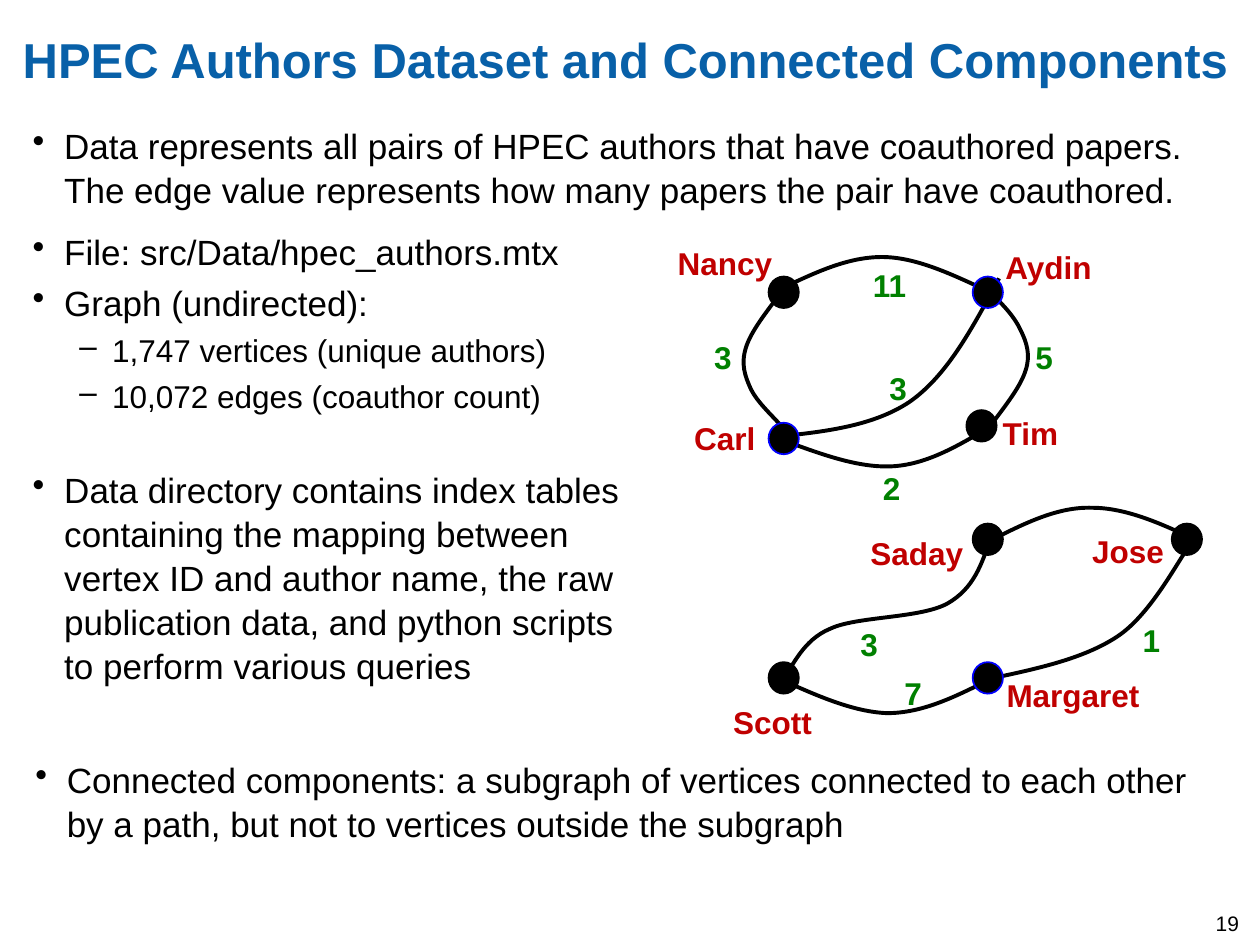
from dataclasses import dataclass

from lxml import etree
from pptx import Presentation
from pptx.dml.color import RGBColor
from pptx.enum.shapes import MSO_SHAPE
from pptx.enum.text import MSO_ANCHOR
from pptx.oxml.ns import qn
from pptx.util import Inches, Pt

ELLIPSE = MSO_SHAPE.OVAL
TOP, MIDDLE = MSO_ANCHOR.TOP, MSO_ANCHOR.MIDDLE


@dataclass(frozen=True)
class Theme:
    font: str = "Arial"
    title: str = "0860A8"
    ink: str = "000000"
    name: str = "C00000"
    count: str = "008000"
    ring: str = "0000FF"
    title_size: int = 28
    body_size: int = 20
    sub_size: int = 18
    page_size: int = 12
    edge_width: float = 2.25
    line_spacing: float = 1.05
    title_spacing: float = 0.85


@dataclass(frozen=True)
class Box:
    """A region on a grid of 10 columns by 7.5 rows, each one inch."""
    left: float
    top: float
    width: float
    height: float

    def inner(self, left, top, width, height):
        return Box(self.left + left, self.top + top, width, height)

    def emu(self):
        return [Inches(v) for v in (self.left, self.top, self.width, self.height)]


THEME = Theme()
MARKS = ("•", "–")
INDENTS = ((0.25, -0.25), (0.63, -0.26))
SIZES = (THEME.body_size, THEME.sub_size)
NODE_WIDTH, NODE_HEIGHT = 0.24, 0.25
LABEL_HEIGHT = 0.4

INTRO = [(0, "Data represents all pairs of HPEC authors that have coauthored papers. "
             "The edge value represents how many papers the pair have coauthored.", 0)]
# Each point: level, text, space before in points
DETAILS = [
    (0, "File: src/Data/hpec_authors.mtx", 0),
    (0, "Graph (undirected):", 4),
    (1, "1,747 vertices (unique authors)", 3.6),
    (1, "10,072 edges (coauthor count)", 3.6),
    (0, "Data directory contains index tables containing the mapping between vertex ID "
        "and author name, the raw publication data, and python scripts to perform "
        "various queries", 29),
]
CLOSING = [(0, "Connected components: a subgraph of vertices connected to each other by a "
               "path, but not to vertices outside the subgraph", 0)]

# Each author: name, node centre, label corner, label width, ring colour
AUTHORS = [
    ("Nancy", (1.22, 0.52), (0.28, 0.09), 0.96, THEME.ink),
    ("Aydin", (2.84, 0.52), (2.88, 0.12), 0.89, THEME.ring),
    ("Carl", (1.22, 1.68), (0.41, 1.48), 0.69, THEME.ring),
    ("Tim", (2.79, 1.58), (2.86, 1.44), 0.65, THEME.ink),
    ("Saday", (2.84, 2.48), (1.81, 2.39), 0.95, THEME.ink),
    ("Jose", (4.42, 2.48), (3.57, 2.37), 0.78, THEME.ink),
    ("Scott", (1.22, 3.58), (0.72, 3.73), 0.83, THEME.ink),
    ("Margaret", (2.84, 3.58), (2.89, 3.52), 1.27, THEME.ring),
]
# Each edge: paper count, label corner, start point followed by Bézier triplets
EDGES = [
    ("3", (0.57, 0.83), [(1.2, 1.58), (1.11, 1.48), (1.01, 1.39), (0.96, 1.29),
                         (0.91, 1.18), (0.88, 1.09), (0.92, 0.96),
                         (0.96, 0.83), (1.08, 0.68), (1.2, 0.52)]),
    ("11", (1.83, 0.26), [(1.2, 0.49), (1.46, 0.37), (1.72, 0.24), (2, 0.24),
                          (2.27, 0.24), (2.56, 0.38), (2.84, 0.51)]),
    ("5", (3.12, 0.83), [(2.86, 0.52), (2.96, 0.62), (3.05, 0.71), (3.1, 0.82),
                         (3.15, 0.92), (3.18, 1.02), (3.14, 1.14),
                         (3.1, 1.27), (2.98, 1.42), (2.86, 1.58)]),
    ("2", (1.91, 1.87), [(2.87, 1.58), (2.62, 1.73), (2.37, 1.88), (2.1, 1.9),
                         (1.83, 1.92), (1.53, 1.81), (1.23, 1.7)]),
    ("3", (1.96, 1.08), [(1.13, 1.67), (1.52, 1.63), (1.92, 1.59), (2.22, 1.39),
                         (2.52, 1.18), (2.72, 0.8), (2.93, 0.41)]),
    ("3", (1.73, 3.11), [(1.23, 3.56), (1.29, 3.5), (1.37, 3.28), (1.59, 3.19),
                         (1.8, 3.09), (2.3, 3.11), (2.52, 2.99),
                         (2.73, 2.87), (2.79, 2.68), (2.86, 2.48)]),
    ("", None, [(2.88, 2.48), (3.14, 2.35), (3.4, 2.22), (3.67, 2.23),
                (3.94, 2.23), (4.23, 2.36), (4.52, 2.5)]),
    ("1", (3.97, 3.08), [(4.46, 2.5), (4.36, 2.63), (4.14, 3.07), (3.87, 3.25),
                         (3.6, 3.43), (3.22, 3.51), (2.84, 3.59)]),
    ("7", (2.08, 3.5), [(2.84, 3.6), (2.58, 3.73), (2.32, 3.86), (2.04, 3.86),
                        (1.77, 3.85), (1.48, 3.72), (1.19, 3.59)]),
]


def add_frame(page, box, inset=(0, 0), anchor=TOP, wrap=True):
    frame = page.shapes.add_textbox(*box.emu()).text_frame
    frame.word_wrap = wrap
    frame.vertical_anchor = anchor
    frame.margin_left = frame.margin_right = Inches(inset[0])
    frame.margin_top = frame.margin_bottom = Inches(inset[1])
    return frame


def add_span(para, text, size, color, bold=False):
    span = para.add_run()
    span.text = text
    span.font.name = THEME.font
    span.font.size = Pt(size)
    span.font.bold = bold
    span.font.color.rgb = RGBColor.from_string(color)


def add_title(page, box, text):
    para = add_frame(page, box, anchor=MIDDLE).paragraphs[0]
    para.line_spacing = THEME.title_spacing
    add_span(para, text, THEME.title_size, THEME.title, bold=True)


def add_points(page, box, points):
    frame = add_frame(page, box)
    for index, (level, text, gap) in enumerate(points):
        para = frame.add_paragraph() if index else frame.paragraphs[0]
        margin, indent = INDENTS[level]
        props = para._p.get_or_add_pPr()
        props.set("marL", str(Inches(margin)))
        props.set("indent", str(Inches(indent)))
        etree.SubElement(props, qn("a:buChar")).set("char", MARKS[level])
        para.level = level
        para.line_spacing = THEME.line_spacing
        para.space_before = Pt(gap)
        add_span(para, text, SIZES[level], THEME.ink)


def add_label(page, box, text, color):
    frame = add_frame(page, box, inset=(0.1, 0.05), wrap=False)
    add_span(frame.paragraphs[0], text, THEME.sub_size, color, bold=True)


def add_curve(page, box, points):
    """Draw a start point and Bézier triplets as one open curve."""
    start, *rest = [(Inches(box.left + x), Inches(box.top + y)) for x, y in points]
    builder = page.shapes.build_freeform(*start)
    builder.add_line_segments(rest, close=False)
    curve = builder.convert_to_shape()
    curve.shadow.inherit = False
    curve.fill.background()
    curve.line.color.rgb = RGBColor.from_string(THEME.ink)
    curve.line.width = Pt(THEME.edge_width)
    segments = list(curve._element.iter(qn("a:lnTo")))
    for first in range(0, len(segments), 3):
        triplet = segments[first:first + 3]
        bezier = etree.Element(qn("a:cubicBezTo"))
        triplet[0].addprevious(bezier)
        for segment in triplet:
            bezier.append(segment[0])
            segment.getparent().remove(segment)


def add_node(page, box, ring):
    node = page.shapes.add_shape(ELLIPSE, *box.emu())
    node.shadow.inherit = False
    node.fill.solid()
    node.fill.fore_color.rgb = RGBColor.from_string(THEME.ink)
    node.line.color.rgb = RGBColor.from_string(ring)
    node.line.width = Pt(1)


def add_graph(page, box):
    for _, _, points in EDGES:
        add_curve(page, box, points)
    for name, (x, y), corner, width, ring in AUTHORS:
        add_node(page, box.inner(x - NODE_WIDTH / 2, y - NODE_HEIGHT / 2,
                                 NODE_WIDTH, NODE_HEIGHT), ring)
        add_label(page, box.inner(*corner, width, LABEL_HEIGHT), name, THEME.name)
    for count, corner, _ in EDGES:
        if count:
            width = 0.2 + 0.14 * len(count)
            add_label(page, box.inner(*corner, width, LABEL_HEIGHT), count, THEME.count)


def add_page_number(page, box, number):
    frame = add_frame(page, box, inset=(0.1, 0.05), anchor=MIDDLE)
    add_span(frame.paragraphs[0], number, THEME.page_size, THEME.ink)


def main():
    deck = Presentation()
    deck.slide_width, deck.slide_height = Inches(10), Inches(7.5)
    page = deck.slides.add_slide(deck.slide_layouts[6])
    add_title(page, Box(0.18, 0.21, 9.82, 0.59),
              "HPEC Authors Dataset and Connected Components")
    add_points(page, Box(0.26, 0.97, 9.66, 0.85), INTRO)
    add_points(page, Box(0.26, 1.81, 4.85, 3.81), DETAILS)
    add_graph(page, Box(5, 1.8, 4.6, 4.15))
    add_points(page, Box(0.28, 6, 9.35, 1.4), CLOSING)
    add_page_number(page, Box(9.55, 7.16, 0.45, 0.33), "19")
    deck.save("out.pptx")


if __name__ == "__main__":
    main()
